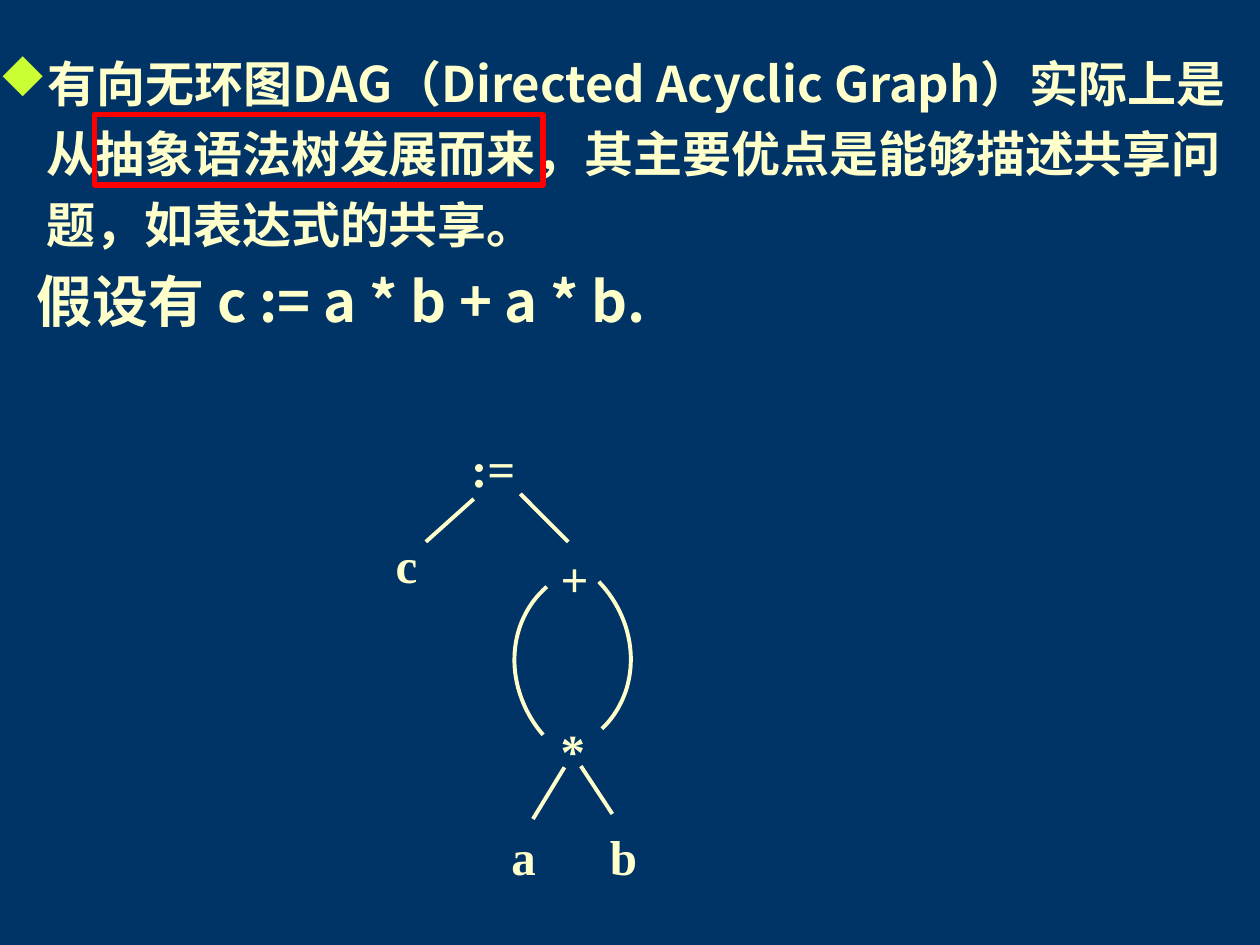
from math import cos, pi, sin

from lxml import etree
from pptx import Presentation
from pptx.dml.color import RGBColor
from pptx.enum.shapes import MSO_CONNECTOR, MSO_SHAPE
from pptx.enum.text import MSO_ANCHOR, PP_ALIGN
from pptx.oxml.ns import qn
from pptx.util import Inches, Pt

STRAIGHT, RECTANGLE = MSO_CONNECTOR.STRAIGHT, MSO_SHAPE.RECTANGLE
TOP, JUSTIFY = MSO_ANCHOR.TOP, PP_ALIGN.JUSTIFY

THEME = {
    "background": "003366", "text": "FFFFCC", "bullet": "CCFF33", "highlight": "FF0000",
    "body_font": "Noto Sans CJK SC", "node_font": "Times New Roman",
    "bullet_font": "Wingdings",
    "size": 28, "formula_size": 32, "edge": 2.25, "frame": 3,
}

# Content: text, size, bullet, left margin, first-line indent, line spacing, space before
BODY_BOX = (-0.11, 0.28, 9.99, 6.43)
DIAMOND = "u"  # Wingdings code of the diamond
BODY = [
    ("有向无环图DAG（Directed Acyclic Graph）实际上是从抽象语法树发展而来，"
     "其主要优点是能够描述共享问题，如表达式的共享。",
     THEME["size"], DIAMOND, 0.38, -0.38, 1.2, 0),
    ("假设有 c := a * b + a * b.", THEME["formula_size"], None, 0.3, 0, 1.0, 7.5),
]
HIGHLIGHT_BOX = (0.75, 0.91, 3.56, 0.56)

# Graph: node label, left, top
NODES = [
    (":=", 3.74, 3.48), ("c", 3.14, 4.24), ("+", 4.45, 4.35),
    ("*", 4.45, 5.72), ("a", 4.06, 6.56), ("b", 4.84, 6.56),
]
NODE_SIZE = (0.57, 0.34)
EDGES = [
    ((3.76, 3.96), (3.38, 4.3)), ((4.13, 3.92), (4.51, 4.3)),
    ((4.48, 6.09), (4.23, 6.5)), ((4.61, 6.08), (4.86, 6.46)),
]
# Shared edges from + to *: left, top, width, height, rotation of a quarter ellipse
SHARED_EDGES = [
    (3.93, 4.81, 0.79, 0.87, 319.2),
    (4.37, 4.77, 0.79, 0.86, 136.2),
]
CURVE_STEPS = 32


def color(name):
    return RGBColor.from_string(THEME[name])


def inches(values):
    return [Inches(v) for v in values]


def style_text(p, size, font):
    for r in p.runs:
        r.font.size, r.font.bold, r.font.name = Pt(size), True, font
        r.font.color.rgb = color("text")
        etree.SubElement(r.font._element, qn("a:ea"), typeface=font)


def style_line(line, name, width):
    line.color.rgb, line.width = color(name), Pt(width)


def set_indent(p, left, first, bullet):
    pPr = p._p.get_or_add_pPr()
    pPr.set("marL", str(Inches(left)))
    pPr.set("indent", str(Inches(first)))
    if bullet:
        bu_color = etree.SubElement(pPr, qn("a:buClr"))
        etree.SubElement(bu_color, qn("a:srgbClr"), val=THEME["bullet"])
        etree.SubElement(pPr, qn("a:buFont"), typeface=THEME["bullet_font"], charset="2")
        etree.SubElement(pPr, qn("a:buChar"), char=bullet)
    else:
        etree.SubElement(pPr, qn("a:buNone"))


def add_body(s):
    tf = s.shapes.add_textbox(*inches(BODY_BOX)).text_frame
    tf.word_wrap = True
    for i, (text, size, bullet, left, first, spacing, before) in enumerate(BODY):
        p = tf.add_paragraph() if i else tf.paragraphs[0]
        p.text = text
        set_indent(p, left, first, bullet)
        p.line_spacing, p.space_before = spacing, Pt(before)
        style_text(p, size, THEME["body_font"])


def add_node(s, label, left, top):
    tf = s.shapes.add_textbox(*inches((left, top, *NODE_SIZE))).text_frame
    tf.margin_left = tf.margin_right = tf.margin_top = tf.margin_bottom = 0
    tf.word_wrap, tf.vertical_anchor = True, TOP
    tf.text = label
    p = tf.paragraphs[0]
    p.alignment = JUSTIFY
    style_text(p, THEME["size"], THEME["node_font"])


def add_edge(s, start, end):
    edge = s.shapes.add_connector(STRAIGHT, *inches((*start, *end)))
    style_line(edge.line, "text", THEME["edge"])
    etree.SubElement(edge._element.spPr, qn("a:effectLst"))


def add_curve(s, left, top, width, height, rotation):
    # Top-left quarter of an ellipse centred on the box's bottom-right corner
    angles = [i / CURVE_STEPS * pi / 2 for i in range(CURVE_STEPS + 1)]
    curve = [inches((left + width * (1 - sin(a)), top + height * (1 - cos(a))))
             for a in angles]
    builder = s.shapes.build_freeform(*curve[0])
    builder.add_line_segments(curve[1:], close=False)
    sp = builder.convert_to_shape()
    sp.rotation = rotation
    sp.fill.background()
    sp.shadow.inherit = False
    style_line(sp.line, "text", THEME["edge"])


def main():
    prs = Presentation()
    prs.slide_width, prs.slide_height = Inches(10), Inches(7.5)
    s = prs.slides.add_slide(prs.slide_layouts[6])
    s.background.fill.solid()
    s.background.fill.fore_color.rgb = color("background")

    add_body(s)

    # Directed acyclic graph
    for node in NODES:
        add_node(s, *node)
    for edge in EDGES:
        add_edge(s, *edge)
    for shared_edge in SHARED_EDGES:
        add_curve(s, *shared_edge)

    # Highlight frame
    frame = s.shapes.add_shape(RECTANGLE, *inches(HIGHLIGHT_BOX))
    frame.fill.background()
    frame.shadow.inherit = False
    style_line(frame.line, "highlight", THEME["frame"])

    prs.save("out.pptx")


if __name__ == "__main__":
    main()
